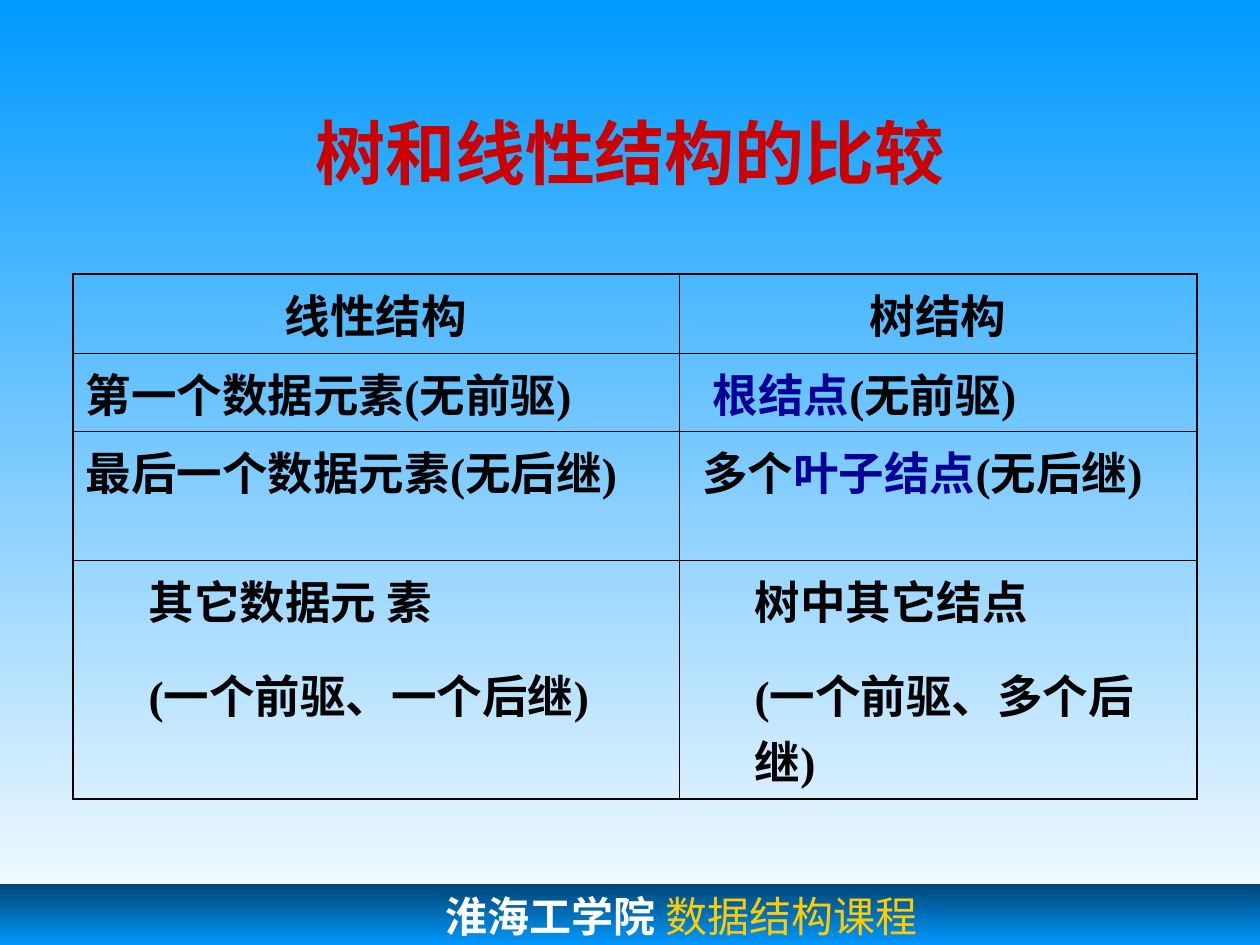
from copy import deepcopy

from lxml import etree
from pptx import Presentation
from pptx.dml.color import RGBColor
from pptx.enum.shapes import MSO_SHAPE
from pptx.enum.text import MSO_ANCHOR, PP_ALIGN
from pptx.oxml.ns import qn
from pptx.util import Cm, Pt

RECT = MSO_SHAPE.RECTANGLE
TOP, MIDDLE = MSO_ANCHOR.TOP, MSO_ANCHOR.MIDDLE
LEFT, CENTER = PP_ALIGN.LEFT, PP_ALIGN.CENTER
BLACK, NAVY, SKY, DEEP = "000000", "000099", "0099FF", "004675"
OUTER, INNER = Pt(1.08), Pt(0.45)


def rgb(value):
    return RGBColor.from_string(value)


def add_text(p, runs, size=26, bold=True, font="Times New Roman",
             align=LEFT, indent=0, before=0):
    """Fill a paragraph with (text, colour) runs in one format."""
    p.alignment = align
    if indent:
        pPr = p._p.get_or_add_pPr()
        pPr.set("marL", str(Cm(indent)))
        pPr.set("indent", "0")
    if before:
        p.space_before = Pt(before)
    for text, color in runs:
        r = p.add_run()
        r.text = text
        r.font.size = Pt(size)
        r.font.bold = bold
        r.font.name = font
        r.font.color.rgb = rgb(color)


prs = Presentation()
prs.slide_width, prs.slide_height = Cm(25.4), Cm(19.05)
slide = prs.slides.add_slide(prs.slide_layouts[5])

# Footer band
footer = slide.shapes.add_shape(RECT, 0, Cm(17.83), prs.slide_width, Cm(2.46))
footer.shadow.inherit = False
footer.line.fill.background()
tf = footer.text_frame
tf.word_wrap = True
tf.vertical_anchor = TOP
p = tf.paragraphs[0]
add_text(p, [("淮海工学院", "FFFFFF")], size=24, font="DejaVu Sans Mono", indent=8.74)
add_text(p, [(" 数据结构课程", "FFCC00")], size=24, bold=False, indent=8.74)

# Vertical gradients of the background and the footer
for fill, root, colors in (
    (slide.background.fill, slide.element, [SKY, "FFFFFF"]),
    (footer.fill, footer.element, [DEEP, SKY, DEEP]),
):
    fill.gradient()
    fill.gradient_angle = 270
    stops = next(root.iter(qn("a:gsLst")))
    while len(stops) < len(colors):
        stops.append(deepcopy(stops[0]))
    for i, (stop, color) in enumerate(zip(fill.gradient_stops, colors)):
        stop.position = i / (len(colors) - 1)
        stop.color.rgb = rgb(color)

# Title
title = slide.shapes.title
title.left, title.top, title.width, title.height = Cm(1.9), Cm(2.11), Cm(21.6), Cm(1.9)
title.text_frame.vertical_anchor = MIDDLE
add_text(title.text_frame.paragraphs[0], [("树和线性结构的比较", "CC0000")],
         size=40, align=CENTER)

# Comparison table: each cell is (format, paragraphs of runs)
rows = [
    [({"align": CENTER}, [[("线性结构", BLACK)]]),
     ({"align": CENTER}, [[("树结构", BLACK)]])],
    [({}, [[("第一个数据元素(无前驱)", BLACK)]]),
     ({"indent": 0.42}, [[("根结点", NAVY), ("(无前驱)", BLACK)]])],
    [({}, [[("最后一个数据元素(无后继)", BLACK)]]),
     ({"indent": 0.21},
      [[("多个", BLACK), ("叶子结点", NAVY), ("(无后继)", BLACK)]])],
    [({"indent": 1.27}, [[("其它数据元 素", BLACK)], [("(一个前驱、一个后继)", BLACK)]]),
     ({"indent": 1.27}, [[("树中其它结点", BLACK)], [("(一个前驱、多个后继)", BLACK)]])],
]
col_widths = [12.22, 10.44]
row_heights = [1.37, 1.37, 2.6, 4.14]
table = slide.shapes.add_table(
    len(rows), len(col_widths), Cm(1.47), Cm(5.53),
    Cm(sum(col_widths)), Cm(sum(row_heights))).table
table.first_row = table.horz_banding = False
for col, width in zip(table.columns, col_widths):
    col.width = Cm(width)
for row, height in zip(table.rows, row_heights):
    row.height = Cm(height)

for y, row in enumerate(rows):
    for x, (style, paragraphs) in enumerate(row):
        cell = table.cell(y, x)
        cell.fill.background()
        tf = cell.text_frame
        for i, runs in enumerate(paragraphs):
            p = tf.add_paragraph() if i else tf.paragraphs[0]
            add_text(p, runs, before=16.2 if i else 0, **style)
        on_edge = {"lnL": x == 0, "lnR": x == len(row) - 1,
                   "lnT": y == 0, "lnB": y == len(rows) - 1}
        tcPr = cell._tc.get_or_add_tcPr()
        for i, (side, outer) in enumerate(on_edge.items()):
            ln = etree.Element(qn("a:" + side), w=str(OUTER if outer else INNER))
            solid = etree.SubElement(ln, qn("a:solidFill"))
            etree.SubElement(solid, qn("a:srgbClr"), val=BLACK)
            tcPr.insert(i, ln)

prs.save("out.pptx")
